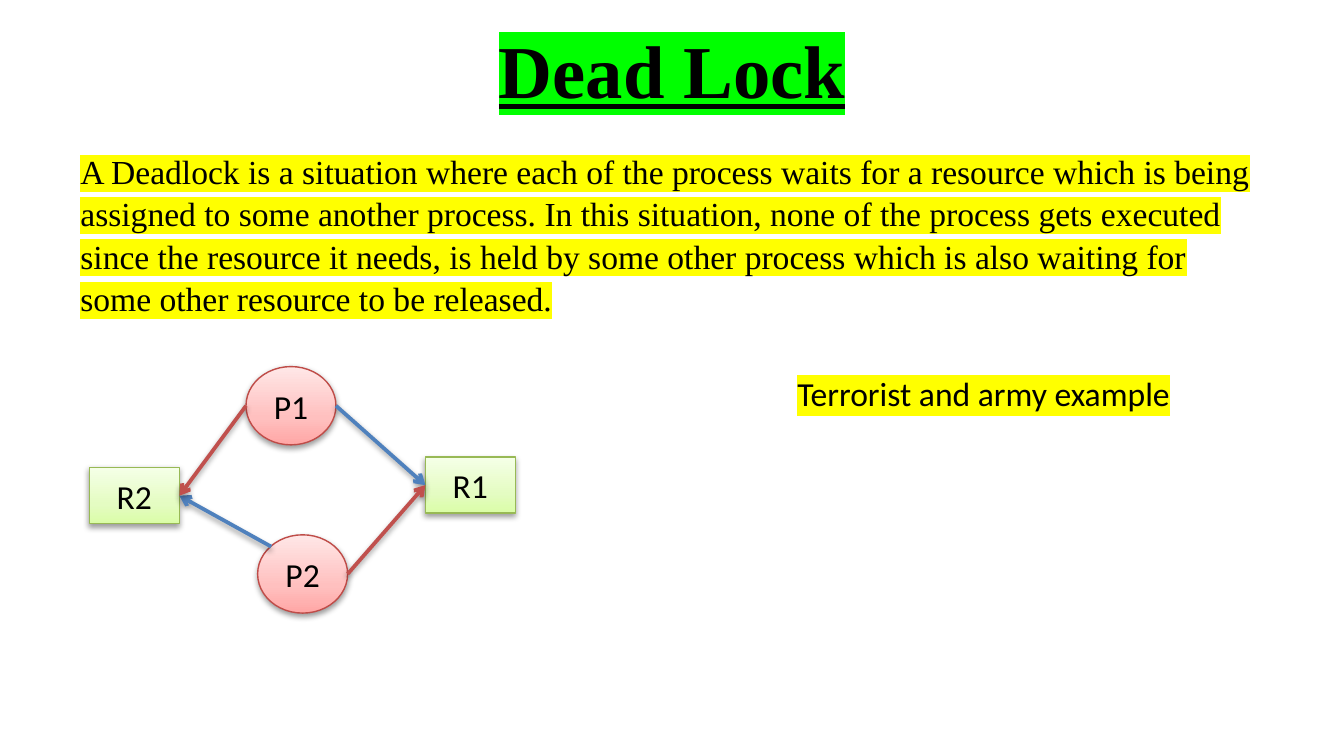
import pptx
import pptx.dml.color
import pptx.enum.shapes
import pptx.enum.text
import pptx.oxml
import pptx.oxml.ns
import pptx.util

Cm = pptx.util.Cm
Pt = pptx.util.Pt
SHAPE = pptx.enum.shapes.MSO_SHAPE
ALIGN = pptx.enum.text.PP_ALIGN
ANCHOR = pptx.enum.text.MSO_ANCHOR
NS = pptx.oxml.ns.nsdecls("a")

COLORS = {
    "text": "000000",
    "title mark": "00FF00",
    "mark": "FFFF00",
    "process line": "BF4C48",
    "resource line": "98B955",
    "blue arrow": "4F81BD",
    "red arrow": "C0504D",
}
GRADIENTS = {
    "process": ("FFA6A5", "FFC0BF", "FFE7E7"),
    "resource": ("DAFDA7", "E4FCC2", "F5FFE7"),
}
DEFINITION = (
    "A Deadlock is a situation where each of the process waits for a resource which is being "
    "assigned to some another process. In this situation, none of the process gets executed "
    "since the resource it needs, is held by some other process which is also waiting for "
    "some other resource to be released."
)


def rgb(name):
    """Return the named colour."""
    return pptx.dml.color.RGBColor.from_string(COLORS[name])


def add_run(paragraph, text, size, font, mark=None):
    """Add a black run, highlighted when a mark colour is named."""
    run = paragraph.add_run()
    run.text = text
    run.font.size = Pt(size)
    run.font.name = font
    run.font.color.rgb = rgb("text")
    if mark:
        highlight = pptx.oxml.parse_xml(
            f'<a:highlight {NS}><a:srgbClr val="{COLORS[mark]}"/></a:highlight>')
        run.font._element.find(pptx.oxml.ns.qn("a:solidFill")).addnext(highlight)
    return run


def add_text(slide, box, text, size, font, mark, wrap=True):
    """Add a text box of one highlighted paragraph and return its frame and run."""
    frame = slide.shapes.add_textbox(*map(Cm, box)).text_frame
    frame.word_wrap = wrap
    return frame, add_run(frame.paragraphs[0], text, size, font, mark)


def add_shadow(shape):
    """Give a shape or connector a soft shadow below it."""
    shape._element.spPr.append(pptx.oxml.parse_xml(
        f'<a:effectLst {NS}><a:outerShdw blurRad="40000" dist="20000" dir="5400000" '
        'rotWithShape="0"><a:srgbClr val="000000"><a:alpha val="38000"/></a:srgbClr>'
        '</a:outerShdw></a:effectLst>'))


def add_node(slide, kind, label, left, top):
    """Add a labelled process ellipse or resource box."""
    geometry, height = (SHAPE.OVAL, 1.48) if kind == "process" else (SHAPE.RECTANGLE, 1.06)
    node = slide.shapes.add_shape(geometry, Cm(left), Cm(top), Cm(1.7), Cm(height))
    node.line.color.rgb = rgb(f"{kind} line")
    node.line.width = Pt(0.75)
    stops = "".join(
        f'<a:gs pos="{place * 1000}"><a:srgbClr val="{color}"/></a:gs>'
        for place, color in zip((0, 35, 100), GRADIENTS[kind]))
    node._element.spPr.find(pptx.oxml.ns.qn("a:prstGeom")).addnext(pptx.oxml.parse_xml(
        f'<a:gradFill {NS} rotWithShape="1"><a:gsLst>{stops}</a:gsLst>'
        '<a:lin ang="16200000" scaled="0"/></a:gradFill>'))
    add_shadow(node)
    frame = node.text_frame
    frame.vertical_anchor = ANCHOR.MIDDLE
    frame.paragraphs[0].alignment = ALIGN.CENTER
    add_run(frame.paragraphs[0], label, 18, "Calibri")
    return node


def point_on(node, across, down):
    """Return the point at the given fractions of a node's width and height."""
    return node.left + int(node.width * across), node.top + int(node.height * down)


def add_arrow(slide, start, end, color):
    """Add an arrow between two points."""
    arrow = slide.shapes.add_connector(
        pptx.enum.shapes.MSO_CONNECTOR.STRAIGHT, *start, *end)
    arrow.line.color.rgb = rgb(color)
    arrow.line.width = Pt(2)
    arrow.line._get_or_add_ln().append(pptx.oxml.parse_xml(f'<a:tailEnd {NS} type="arrow"/>'))
    add_shadow(arrow)


def main():
    """Build the deadlock slide."""
    deck = pptx.Presentation()
    deck.slide_width, deck.slide_height = Cm(25.4), Cm(14.29)
    slide = deck.slides.add_slide(deck.slide_layouts[6])

    heading, title = add_text(
        slide, (1.27, 0.1, 22.86, 2.39), "Dead Lock", 40, "Times New Roman", "title mark")
    heading.vertical_anchor = ANCHOR.MIDDLE
    heading.paragraphs[0].alignment = ALIGN.CENTER
    title.font.bold = title.font.underline = True

    body, _ = add_text(
        slide, (1.27, 2.69, 22.86, 9.42), DEFINITION, 18, "Times New Roman", "mark")
    body.paragraphs[0].line_spacing = 1.05

    p1 = add_node(slide, "process", "P1", 4.65, 6.93)
    p2 = add_node(slide, "process", "P2", 4.87, 10.11)
    r1 = add_node(slide, "resource", "R1", 8.04, 8.64)
    r2 = add_node(slide, "resource", "R2", 1.69, 8.84)

    into_r1, into_r2 = point_on(r1, 0, 0.5), point_on(r2, 1, 0.5)
    add_arrow(slide, point_on(p1, 1, 0.5), into_r1, "blue arrow")
    add_arrow(slide, point_on(p2, 0.15, 0.15), into_r2, "blue arrow")
    add_arrow(slide, point_on(p2, 1, 0.5), into_r1, "red arrow")
    add_arrow(slide, point_on(p1, 0, 0.5), into_r2, "red arrow")

    example, _ = add_text(
        slide, (14.82, 6.93, 7.62, 1.03), "Terrorist and army example", 18, "Calibri", "mark",
        wrap=False)
    example.auto_size = pptx.enum.text.MSO_AUTO_SIZE.SHAPE_TO_FIT_TEXT

    deck.save("out.pptx")


if __name__ == "__main__":
    main()
